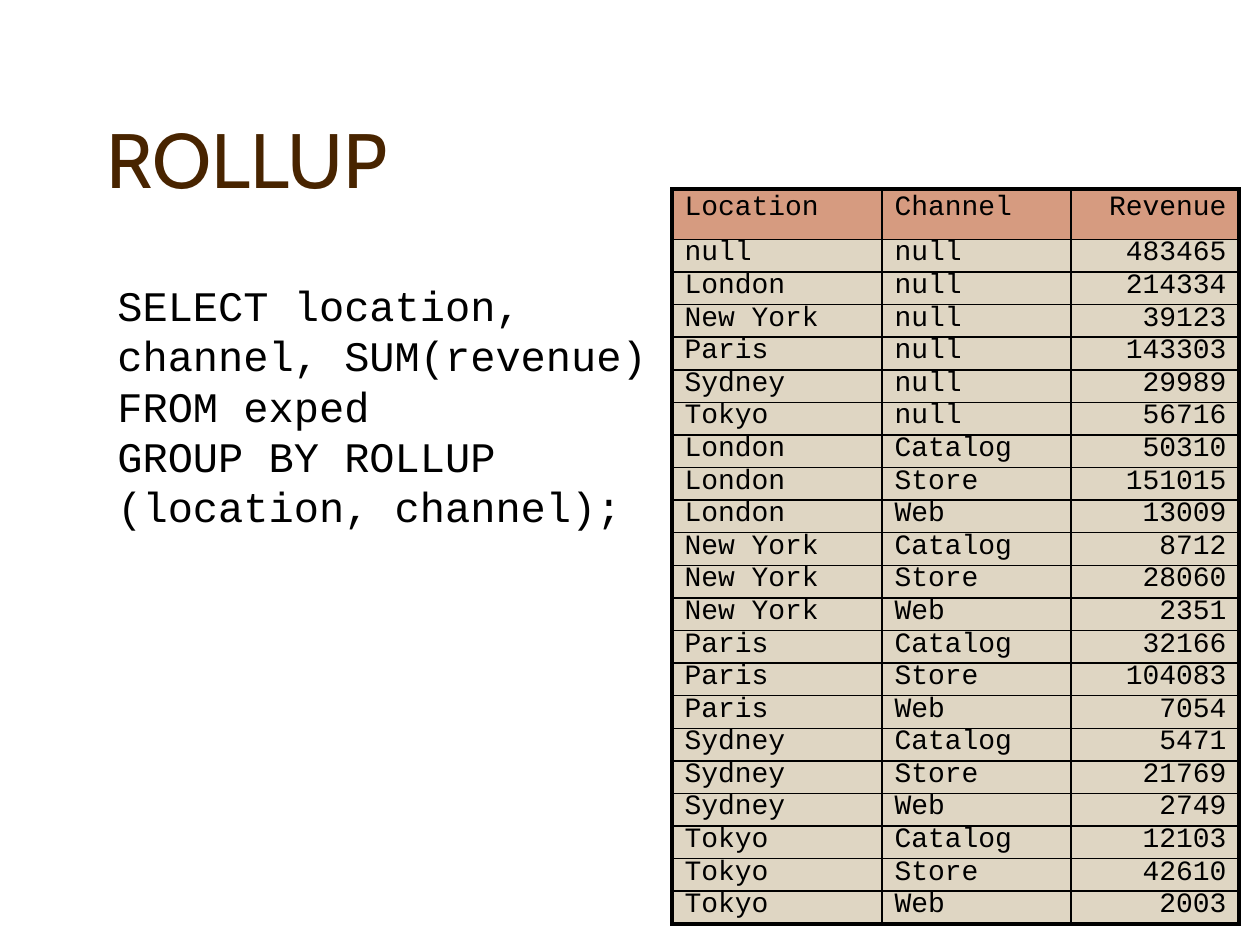
from dataclasses import dataclass

from lxml import etree
from pptx import Presentation
from pptx.dml.color import RGBColor
from pptx.enum import text
from pptx.oxml import ns
from pptx.util import Pt


@dataclass(frozen=True)
class Theme:
    title_font: str = "Cabin"
    code_font: str = "Courier New"
    title_size: float = 44
    code_size: float = 24
    cell_size: float = 16
    brown: str = "482400"
    black: str = "000000"
    header_fill: str = "D69B80"
    body_fill: str = "DFD6C3"
    outer_line: float = 2.25
    inner_line: float = 1


class RollupSlide:
    def __init__(self, deck, theme):
        self.theme = theme
        self.page = deck.slides.add_slide(deck.slide_layouts[5])

    def format_runs(self, paragraph, font, size, colour):
        for span in paragraph.runs:
            span.font.name = font
            span.font.size = Pt(size)
            span.font.color.rgb = RGBColor.from_string(colour)

    def add_title(self, words, left, top, width, height):
        box = self.page.shapes.title
        box.left, box.top, box.width, box.height = map(Pt, (left, top, width, height))
        frame = box.text_frame
        frame.text = words
        frame.vertical_anchor = text.MSO_ANCHOR.BOTTOM
        para = frame.paragraphs[0]
        para.alignment = text.PP_ALIGN.CENTER
        self.format_runs(para, self.theme.title_font, self.theme.title_size, self.theme.brown)

    def add_code(self, lines, left, top, width, height):
        box = self.page.shapes.add_textbox(*map(Pt, (left, top, width, height)))
        frame = box.text_frame
        frame.word_wrap = True
        frame.text = "\n".join(lines)
        for para in frame.paragraphs:
            self.format_runs(para, self.theme.code_font, self.theme.code_size, self.theme.black)

    def set_borders(self, cell, widths):
        properties = cell._tc.get_or_add_tcPr()
        for side, width in widths.items():
            line = etree.SubElement(properties, ns.qn(f"a:ln{side}"), w=str(Pt(width)))
            fill = etree.SubElement(line, ns.qn("a:solidFill"))
            etree.SubElement(fill, ns.qn("a:srgbClr"), val=self.theme.black)

    def set_space_before(self, para, percent):
        para.space_before = Pt(0)
        spacing = para._p.pPr.find(ns.qn("a:spcBef"))
        spacing.remove(spacing[0])
        etree.SubElement(spacing, ns.qn("a:spcPct"), val=str(percent * 1000))

    def format_cell(self, cell, words, is_header, is_number, widths):
        self.set_borders(cell, widths)
        cell.fill.solid()
        colour = self.theme.header_fill if is_header else self.theme.body_fill
        cell.fill.fore_color.rgb = RGBColor.from_string(colour)
        cell.text_frame.text = words
        para = cell.text_frame.paragraphs[0]
        para.line_spacing = 0.8 if is_header else 0.6
        self.set_space_before(para, 20)
        para.alignment = text.PP_ALIGN.RIGHT if is_number else text.PP_ALIGN.LEFT
        self.format_runs(para, self.theme.code_font, self.theme.cell_size, self.theme.black)

    def add_table(self, rows, left, top, column_widths, header_height, row_height):
        last_row, last_column = len(rows) - 1, len(column_widths) - 1
        height = header_height + last_row * row_height
        size = map(Pt, (left, top, sum(column_widths), height))
        table = self.page.shapes.add_table(len(rows), len(column_widths), *size).table
        table.first_row = table.horz_banding = False
        for column, width in zip(table.columns, column_widths):
            column.width = Pt(width)
        for r, values in enumerate(rows):
            table.rows[r].height = Pt(row_height if r else header_height)
            for c, value in enumerate(values):
                edges = {"L": c == 0, "R": c == last_column, "T": r == 0, "B": r == last_row}
                widths = {
                    side: self.theme.outer_line if is_outer else self.theme.inner_line
                    for side, is_outer in edges.items()
                }
                self.format_cell(table.cell(r, c), str(value), r == 0, c == last_column, widths)


TOTALS = [
    ("null", 483465),
    ("London", 214334),
    ("New York", 39123),
    ("Paris", 143303),
    ("Sydney", 29989),
    ("Tokyo", 56716),
]
CHANNELS = ["Catalog", "Store", "Web"]
CHANNEL_REVENUE = {
    "London": [50310, 151015, 13009],
    "New York": [8712, 28060, 2351],
    "Paris": [32166, 104083, 7054],
    "Sydney": [5471, 21769, 2749],
    "Tokyo": [12103, 42610, 2003],
}
QUERY = [
    "SELECT location, channel, SUM(revenue)",
    "FROM exped",
    "GROUP BY ROLLUP (location, channel);",
]


def main():
    deck = Presentation()
    deck.slide_width, deck.slide_height = Pt(720), Pt(540)
    rows = [("Location", "Channel", "Revenue")]
    rows += [(location, "null", revenue) for location, revenue in TOTALS]
    rows += [
        (location, channel, revenue)
        for location, revenues in CHANNEL_REVENUE.items()
        for channel, revenue in zip(CHANNELS, revenues)
    ]
    slide = RollupSlide(deck, Theme())
    slide.add_title("ROLLUP", 30, 30, 222, 90)
    slide.add_table(rows, 384, 108, [120, 108, 96], 28.8, 18.63)
    slide.add_code(QUERY, 60, 156, 360, 152.6)
    deck.save("out.pptx")


if __name__ == "__main__":
    main()
